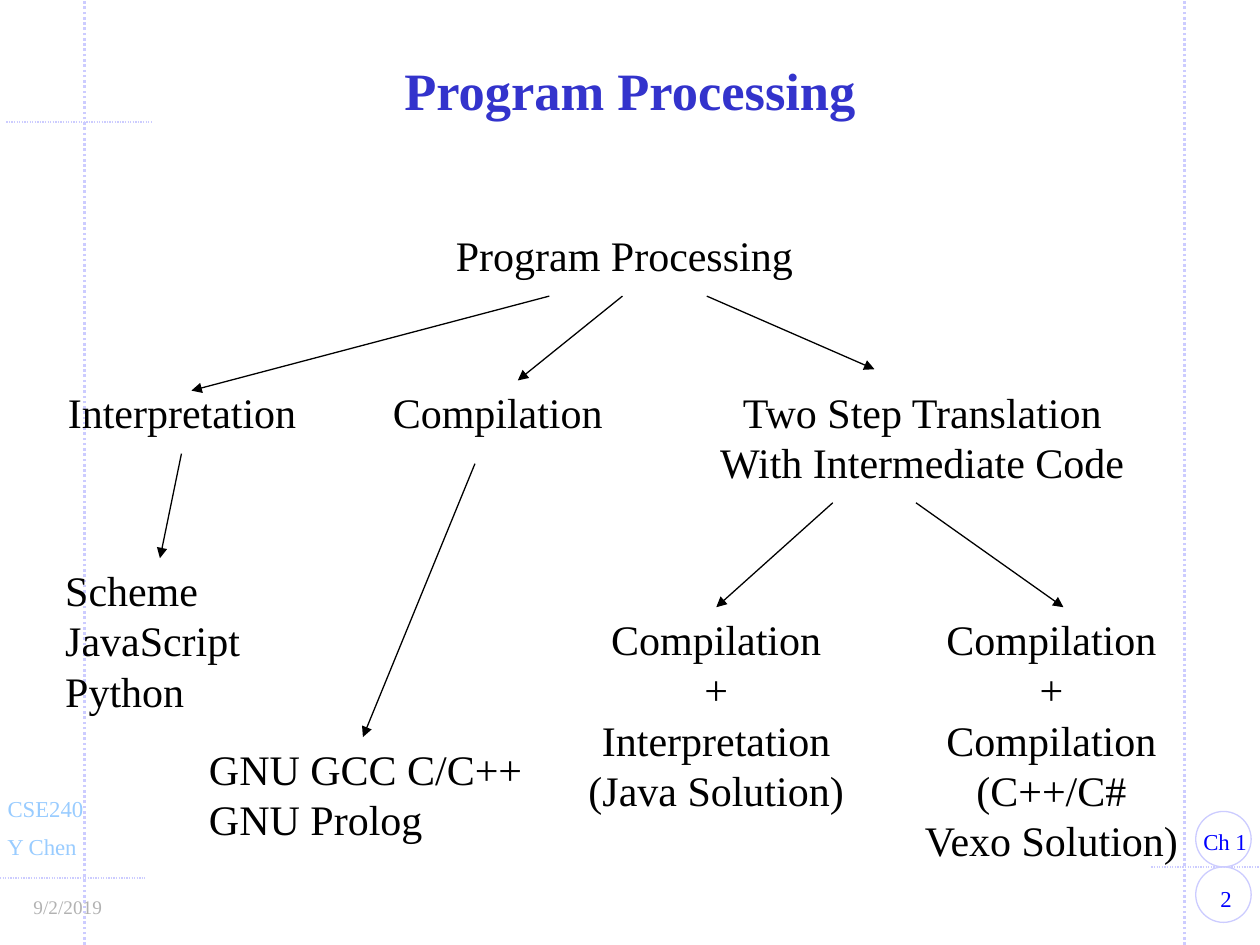
from dataclasses import dataclass
from typing import Any, Optional

from pptx import Presentation
from pptx.dml.color import RGBColor
from pptx.enum import dml, shapes, text
from pptx.oxml import xmlchemy
from pptx.oxml.ns import qn
from pptx.util import Pt

FONT = "Times New Roman"
BLACK, LAVENDER, SKY, BLUE = "000000", "CCCCFF", "99CCFF", "0000FF"
LEFT, CENTER, RIGHT = text.PP_ALIGN.LEFT, text.PP_ALIGN.CENTER, text.PP_ALIGN.RIGHT


@dataclass(frozen=True)
class Label:
    lines: tuple[str, ...]
    left: float
    top: float
    width: float
    height: float
    align: Any = LEFT
    size: float = 24
    color: str = BLACK
    inset: float = 7.2


@dataclass(frozen=True)
class Line:
    start: tuple[float, float]
    end: tuple[float, float]
    color: str = BLACK
    width: float = 0.75
    dotted: bool = False
    arrow: bool = True


@dataclass(frozen=True)
class Branch:
    labels: tuple[Label, ...]
    arrows: tuple[Line, ...]
    joined: Optional[int] = None


def rgb(value: str) -> RGBColor:
    return RGBColor.from_string(value)


def write_text(shape: Any, lines: tuple[str, ...], *, size: float, color: str,
               align: Any = LEFT, bold: bool = False, inset: float = 7.2,
               wrap: bool = False, spacing: float = 1.0) -> None:
    frame = shape.text_frame
    frame.text = "\n".join(lines)
    frame.word_wrap = wrap
    frame.auto_size = text.MSO_AUTO_SIZE.NONE
    frame.margin_left = frame.margin_right = Pt(inset)
    frame.margin_top = frame.margin_bottom = Pt(3.6)
    for paragraph in frame.paragraphs:
        paragraph.alignment = align
        paragraph.line_spacing = spacing
        font = paragraph.font
        font.name, font.size, font.bold = FONT, Pt(size), bold
        font.color.rgb = rgb(color)


def draw_label(container: Any, label: Label) -> Any:
    shape = container.add_textbox(Pt(label.left), Pt(label.top), Pt(label.width), Pt(label.height))
    write_text(shape, label.lines, size=label.size, color=label.color,
               align=label.align, inset=label.inset)
    return shape


def draw_line(container: Any, line: Line) -> Any:
    points = [Pt(value) for value in (*line.start, *line.end)]
    connector = container.add_connector(shapes.MSO_CONNECTOR.STRAIGHT, *points)
    connector.line.color.rgb = rgb(line.color)
    connector.line.width = Pt(line.width)
    if line.dotted:
        connector.line.dash_style = dml.MSO_LINE.ROUND_DOT
    if line.arrow:
        tail = xmlchemy.OxmlElement("a:tailEnd")
        tail.set("type", "triangle")
        connector.line._get_or_add_ln().append(tail)
    properties = connector._element.find(qn("p:spPr"))
    properties.append(xmlchemy.OxmlElement("a:effectLst"))
    return connector


def draw_circle(container: Any, left: float, top: float, diameter: float) -> None:
    circle = container.add_shape(shapes.MSO_SHAPE.OVAL, Pt(left), Pt(top), Pt(diameter), Pt(diameter))
    circle.shadow.inherit = False
    circle.fill.background()
    circle.line.color.rgb = rgb(LAVENDER)
    circle.line.width = Pt(0.75)


def draw_branch(container: Any, branch: Branch) -> None:
    group = container.add_group_shape().shapes
    boxes = [draw_label(group, label) for label in branch.labels]
    arrows = [draw_line(group, arrow) for arrow in branch.arrows]
    if branch.joined is not None:
        arrows[branch.joined].end_connect(boxes[branch.joined], 0)


def guide(start: tuple[float, float], end: tuple[float, float], width: float = 0.75) -> Line:
    return Line(start, end, LAVENDER, width, dotted=True, arrow=False)


GUIDES = (
    guide((48.2, 540), (48.2, 0), 1.5),
    guide((676.8, 540), (676.8, 0), 1.5),
    guide((0, 501.8), (82.8, 501.8)),
    guide((658, 495.4), (723.6, 495.4)),
    guide((3.6, 69.8), (86.4, 69.8)),
)
MARGIN_LABELS = (
    Label(("2",), 679.7, 501.8, 41.8, 23, CENTER, 13, BLUE, 7.9),
    Label(("Ch 1",), 679.7, 469.4, 40.3, 23, LEFT, 13, BLUE, 7.9),
    Label(("Y Chen",), -3.6, 472.3, 55.4, 23, LEFT, 13, SKY, 7.9),
    Label(("CSE240",), -3.6, 450.7, 58.3, 23, LEFT, 13, SKY, 7.9),
    Label(("9/2/2019",), 6.5, 508.3, 59.8, 20.9, RIGHT, 11, "B2B2B2", 7.9),
)
TREE_LABELS = (
    Label(("Program Processing",), 253.4, 127.4, 207.4, 36),
    Label(("Interpretation",), 31.7, 217.4, 144.7, 36),
    Label(("Compilation",), 217.4, 217.4, 133.9, 36),
    Label(("Two Step Translation", "With Intermediate Code"), 403.9, 217.4, 246.2, 64.8, CENTER),
)
ROOT_ARROWS = (
    Line((313.9, 169.2), (109.4, 223.2)),
    Line((355.7, 169.2), (295.9, 217.4)),
    Line((403.9, 169.2), (499.7, 211)),
)
BRANCHES = (
    Branch(
        (Label(("Compilation", "+", "Interpretation", "(Java Solution)"),
               329, 347, 160.6, 122.4, CENTER),
         Label(("Compilation", "+", "Compilation", "(C++/C#", "Vexo Solution)"),
               525.6, 347, 150.5, 151.2, CENTER)),
        (Line((475.9, 287.3), (409.7, 347)), Line((523.4, 287.3), (607.7, 347))),
        joined=0,
    ),
    Branch(
        (Label(("Scheme", "JavaScript", "Python"), 30.2, 319, 115.2, 94.3),),
        (Line((103.7, 259.2), (91.4, 319)),),
    ),
    Branch(
        (Label(("GNU GCC C/C++", "GNU Prolog"), 112.3, 421.2, 193.7, 64.8),),
        (Line((271.4, 265), (207.4, 421.2)),),
    ),
)


def main() -> None:
    presentation = Presentation()
    presentation.slide_width, presentation.slide_height = Pt(720), Pt(540)
    slide = presentation.slides.add_slide(presentation.slide_layouts[5])

    title = slide.shapes.title
    title.left, title.top, title.width, title.height = Pt(52.6), Pt(31.7), Pt(614.9), Pt(44.6)
    write_text(title, ("Program Processing",), size=30, color="3333CC", align=CENTER,
               bold=True, inset=7.9, wrap=True, spacing=0.85)
    title.text_frame.vertical_anchor = text.MSO_ANCHOR.MIDDLE

    for line in GUIDES:
        draw_line(slide.shapes, line)
    for top in (463.7, 495.4):
        draw_circle(slide.shapes, 683.3, top, 31.7)
    for label in MARGIN_LABELS + TREE_LABELS:
        draw_label(slide.shapes, label)
    for arrow in ROOT_ARROWS:
        draw_line(slide.shapes, arrow)
    for branch in BRANCHES:
        draw_branch(slide.shapes, branch)

    presentation.save("out.pptx")


if __name__ == "__main__":
    main()
